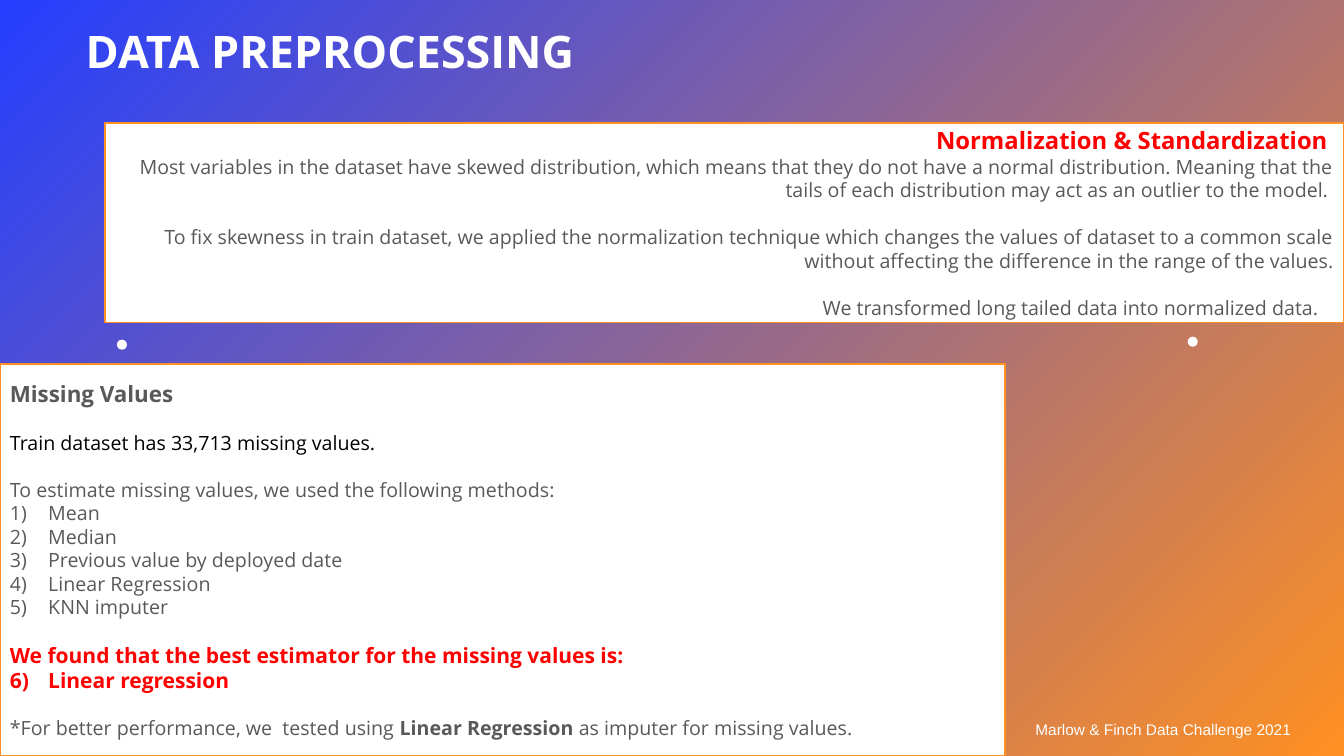
from dataclasses import dataclass

from lxml.etree import SubElement
from pptx import Presentation
from pptx.dml.color import RGBColor
from pptx.enum.shapes import MSO_SHAPE
from pptx.enum.text import MSO_ANCHOR, PP_ALIGN
from pptx.oxml.ns import qn
from pptx.util import Inches, Pt

FONT = "Open Sans"
WHITE, BLACK, GRAY = "FFFFFF", "000000", "595959"
BLUE, ORANGE, RED = "243FFF", "FF9022", "FF0000"
LINE_FACTOR = 1.2
GAP = 16.8
NUMBER_INDENT = 0.38


@dataclass
class Span:
    text: str
    bold: bool = False


@dataclass
class Para:
    spans: list[Span]
    size: float = 14
    color: str = GRAY
    gap: float = 0
    number: int = 0
    right_margin: float = 0


@dataclass
class Panel:
    left: float
    top: float
    width: float
    height: float
    align: PP_ALIGN
    paras: list[Para]


@dataclass
class Caption:
    text: str
    left: float
    top: float
    width: float
    height: float
    size: float
    font: str
    bold: bool
    align: PP_ALIGN
    anchor: MSO_ANCHOR
    wrap: bool = True


def rgb(value: str) -> RGBColor:
    return RGBColor.from_string(value)


def place(left: float, top: float, width: float, height: float) -> list:
    return [Inches(length) for length in (left, top, width, height)]


def add_span(para, span: Span, font: str, size: float, color: str) -> None:
    run = para.add_run()
    run.text = span.text
    run.font.name = font
    run.font.size = Pt(size)
    run.font.bold = span.bold
    run.font.color.rgb = rgb(color)


def number_para(para, start: int, color: str) -> None:
    properties = para._p.get_or_add_pPr()
    properties.set("marL", str(Inches(NUMBER_INDENT)))
    properties.set("indent", str(-Inches(NUMBER_INDENT)))
    bullet_color = SubElement(properties, qn("a:buClr"))
    SubElement(bullet_color, qn("a:srgbClr")).set("val", color)
    bullet = SubElement(properties, qn("a:buAutoNum"))
    bullet.set("type", "arabicParenR")
    if start > 1:
        bullet.set("startAt", str(start))


def add_panel(page, panel: Panel) -> None:
    box = page.shapes.add_shape(
        MSO_SHAPE.RECTANGLE, *place(panel.left, panel.top, panel.width, panel.height)
    )
    box.shadow.inherit = False
    box.fill.solid()
    box.fill.fore_color.rgb = rgb(WHITE)
    box.line.color.rgb = rgb(ORANGE)
    box.line.width = Pt(1)
    frame = box.text_frame
    frame.word_wrap = True
    frame.vertical_anchor = MSO_ANCHOR.MIDDLE
    for index, item in enumerate(panel.paras):
        para = frame.add_paragraph() if index else frame.paragraphs[0]
        para.alignment = panel.align
        para.line_spacing = Pt(item.size * LINE_FACTOR)
        para.space_before = Pt(item.gap)
        if item.number:
            number_para(para, item.number, item.color)
        if item.right_margin:
            para._p.get_or_add_pPr().set("marR", str(Inches(item.right_margin)))
        for span in item.spans:
            add_span(para, span, FONT, item.size, item.color)


def add_caption(page, caption: Caption) -> None:
    box = page.shapes.add_textbox(
        *place(caption.left, caption.top, caption.width, caption.height)
    )
    frame = box.text_frame
    frame.word_wrap = caption.wrap
    frame.vertical_anchor = caption.anchor
    para = frame.paragraphs[0]
    para.alignment = caption.align
    para.line_spacing = 0.9 if caption.bold else 1.0
    add_span(para, Span(caption.text, caption.bold), caption.font, caption.size, WHITE)


def add_dot(page, left: float, top: float) -> None:
    dot = page.shapes.add_shape(MSO_SHAPE.OVAL, *place(left, top, 0.1, 0.1))
    dot.shadow.inherit = False
    dot.fill.solid()
    dot.fill.fore_color.rgb = rgb(WHITE)
    dot.line.fill.background()


def paint_background(page) -> None:
    fill = page.background.fill
    fill.gradient()
    fill.gradient_angle = 315
    for stop, position, color in zip(fill.gradient_stops, (0, 1), (BLUE, ORANGE)):
        stop.position = position
        stop.color.rgb = rgb(color)


METHODS = [
    "Mean",
    "Median",
    "Previous value by deployed date",
    "Linear Regression",
    "KNN imputer",
]

NORMALIZATION = Panel(1.04, 1.22, 12.29, 1.98, PP_ALIGN.RIGHT, [
    Para([Span("Normalization & Standardization ", True)], 17, RED),
    Para([Span("Most variables in the dataset have skewed distribution, which means that "
               "they do not have a normal distribution. Meaning that the tails of each "
               "distribution may act as an outlier to the model. ")]),
    Para([Span("To fix skewness in train dataset, we applied the normalization technique "
               "which changes the values of dataset to a common scale without affecting "
               "the difference in the range of the values.")], gap=GAP),
    Para([Span("We transformed long tailed data into normalized data.")],
         gap=GAP, right_margin=0.15),
])

MISSING_VALUES = Panel(0, 3.61, 9.97, 3.89, PP_ALIGN.LEFT, [
    Para([Span("Missing Values", True)], 16),
    Para([Span("Train dataset has 33,713 missing values.")], color=BLACK, gap=GAP),
    Para([Span("To estimate missing values, we used the following methods:")], gap=GAP),
    *[Para([Span(method)], number=1) for method in METHODS],
    Para([Span("We found that the best estimator for the missing values is:", True)],
         15, RED, GAP),
    Para([Span("Linear regression", True)], 15, RED, number=len(METHODS) + 1),
    Para([Span("*For better performance, we  tested using "),
          Span("Linear Regression ", True),
          Span("as imputer for missing values.")], gap=GAP),
])

CAPTIONS = [
    Caption("DATA PREPROCESSING", -0.48, -0.47, 7.51, 1.29, 32, FONT, True,
            PP_ALIGN.CENTER, MSO_ANCHOR.BOTTOM),
    Caption("Marlow & Finch Data Challenge 2021", 10.17, 7.1, 4.99, 0.4, 11, "Arial",
            False, PP_ALIGN.LEFT, MSO_ANCHOR.TOP),
]


def main() -> None:
    deck = Presentation()
    deck.slide_width, deck.slide_height = Inches(13.33), Inches(7.5)
    page = deck.slides.add_slide(deck.slide_layouts[6])
    paint_background(page)
    for left, top in ((11.78, 3.34), (1.16, 3.37)):
        add_dot(page, left, top)
    for caption in CAPTIONS:
        add_caption(page, caption)
    for panel in (NORMALIZATION, MISSING_VALUES):
        add_panel(page, panel)
    deck.save("out.pptx")


if __name__ == "__main__":
    main()
